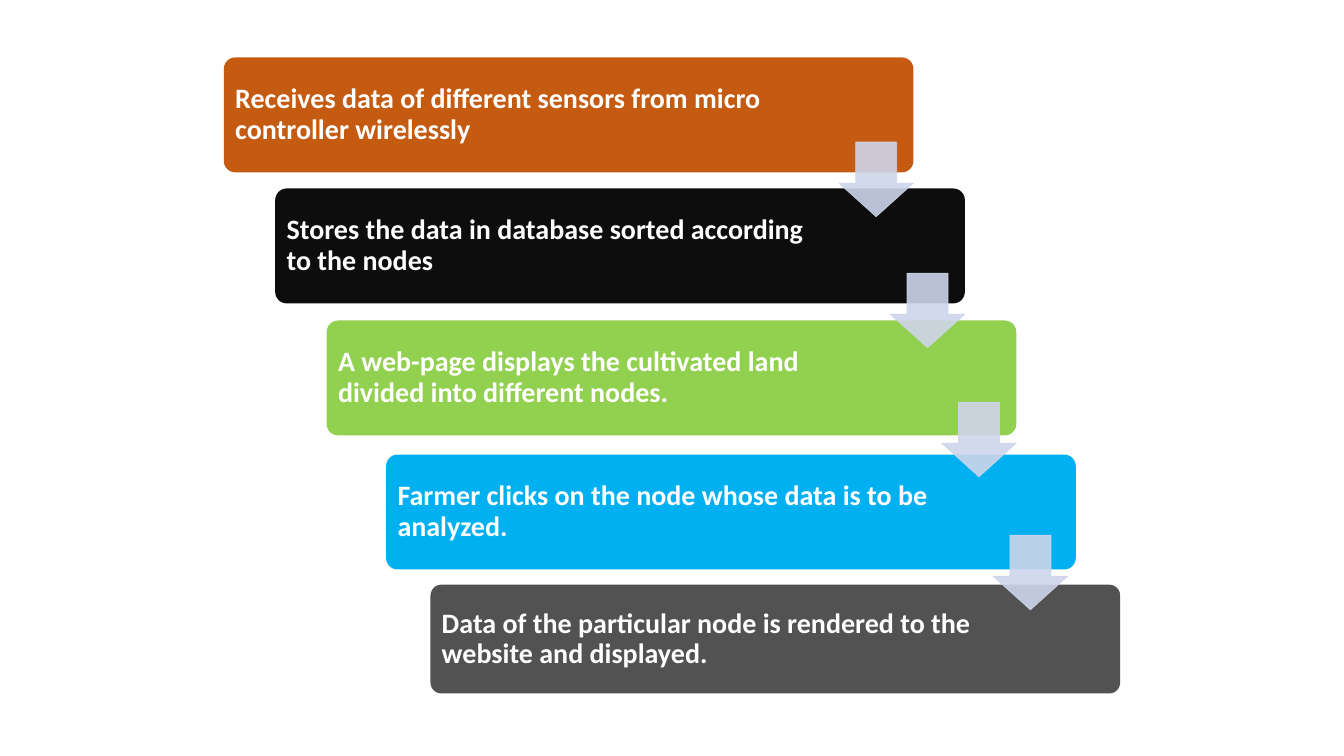
"""Build a slide with five descending process steps joined by arrows."""
from lxml import etree
from pptx import Presentation
from pptx.dml.color import RGBColor
from pptx.enum.shapes import MSO_SHAPE
from pptx.enum.text import MSO_ANCHOR, PP_ALIGN
from pptx.oxml.ns import qn
from pptx.util import Inches, Pt

ROUNDED, DOWN_ARROW = MSO_SHAPE.ROUNDED_RECTANGLE, MSO_SHAPE.DOWN_ARROW
MIDDLE, LEFT = MSO_ANCHOR.MIDDLE, PP_ALIGN.LEFT

STEPS = [
    ("Receives data of different sensors from micro controller wirelessly", "C55A11", 2.22, 0.57, 1.14),
    ("Stores the data in database sorted according to the nodes", "0D0D0D", 2.73, 1.87, 1.14),
    ("A web-page displays the cultivated land divided into different nodes.", "92D050", 3.24, 3.18, 1.14),
    ("Farmer clicks on the node whose data is to be analyzed.", "00B0F0", 3.83, 4.51, 1.14),
    ("Data of the particular node is rendered to the website and displayed.", "525252", 4.27, 5.8, 1.08),
]
STEP_WIDTH = 6.84
ARROW_TOPS = [1.41, 2.71, 3.99, 5.31]
ARROW_LEFT, ARROW_SHIFT, ARROW_SIZE = 8.32, 0.51, 0.74
ARROW_COLOR, ARROW_OPACITY = "CFD5EA", 90


def paint(color_format, color, opacity=100):
    color_format.solid()
    color_format.fore_color.rgb = RGBColor.from_string(color)
    if opacity < 100:
        for node in color_format._xPr.iter(qn("a:srgbClr")):
            if node.find(qn("a:alpha")) is None:
                etree.SubElement(node, qn("a:alpha"), val=str(opacity * 1000))


def add_shape(kind, left, top, width, height, adjustments):
    shape = slide.shapes.add_shape(kind, Inches(left), Inches(top), Inches(width), Inches(height))
    shape.shadow.inherit = False
    for index, value in enumerate(adjustments):
        shape.adjustments[index] = value
    return shape


def write(shape, text, size=20, color="FFFFFF", bold=True, font="Calibri", right=1.33):
    frame = shape.text_frame
    frame.word_wrap = True
    frame.vertical_anchor = MIDDLE
    frame.margin_left = frame.margin_top = frame.margin_bottom = Inches(0.08)
    frame.margin_right = Inches(right)
    paragraph = frame.paragraphs[0]
    paragraph.alignment = LEFT
    paragraph.line_spacing = 0.9
    run = paragraph.add_run()
    run.text = text
    run.font.name, run.font.size, run.font.bold = font, Pt(size), bold
    run.font.color.rgb = RGBColor.from_string(color)


presentation = Presentation()
presentation.slide_width, presentation.slide_height = Inches(13.33), Inches(7.5)
slide = presentation.slides.add_slide(presentation.slide_layouts[6])

for text, color, left, top, height in STEPS:
    step = add_shape(ROUNDED, left, top, STEP_WIDTH, height, [0.1])
    paint(step.fill, color)
    step.line.fill.background()
    write(step, text)

for index, top in enumerate(ARROW_TOPS):
    left = ARROW_LEFT + index * ARROW_SHIFT
    arrow = add_shape(DOWN_ARROW, left, top, ARROW_SIZE, ARROW_SIZE, [0.55, 0.45])
    arrow.line.width = Pt(0.5)
    for color_format in (arrow.fill, arrow.line.fill):
        paint(color_format, ARROW_COLOR, ARROW_OPACITY)

presentation.save("out.pptx")
